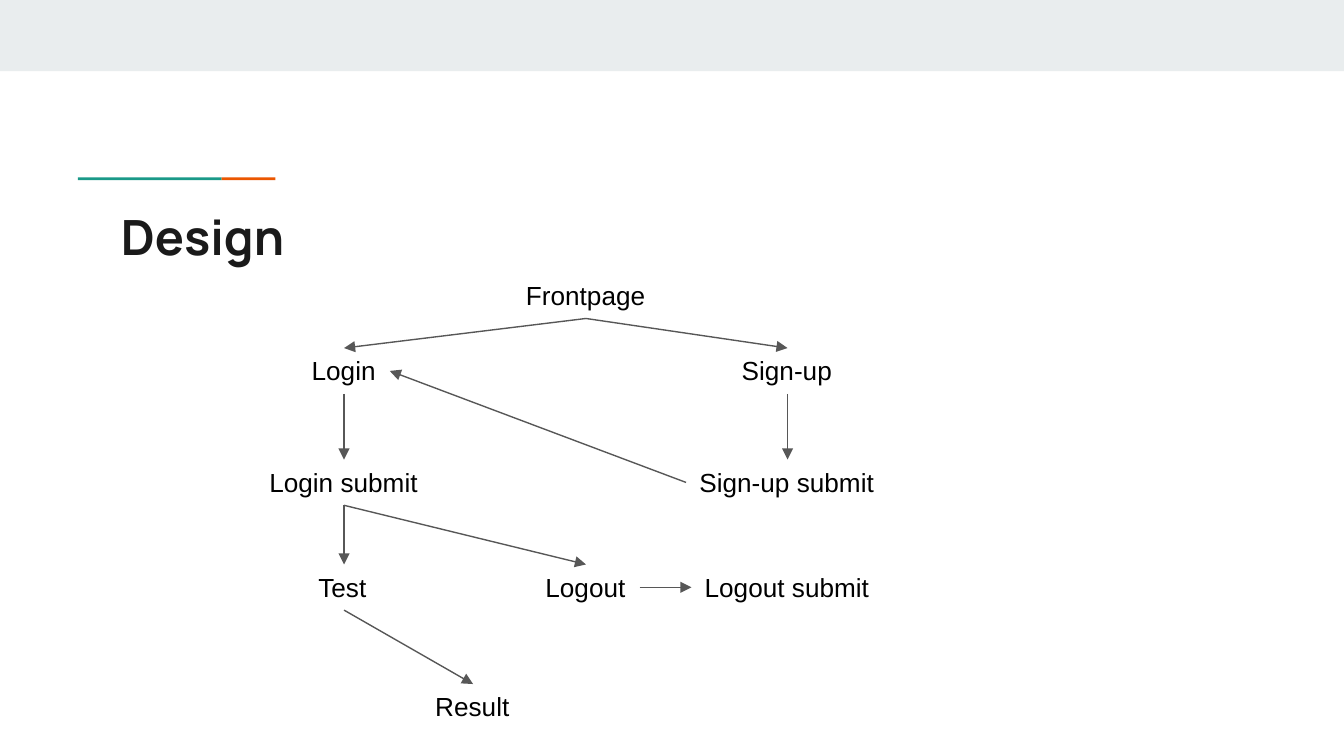
from lxml import etree
from pptx import Presentation
from pptx.dml.color import RGBColor
from pptx.enum.shapes import MSO_CONNECTOR, MSO_SHAPE
from pptx.enum.text import MSO_ANCHOR, MSO_AUTO_SIZE, PP_ALIGN
from pptx.oxml.ns import qn
from pptx.util import Inches, Pt

RECTANGLE = MSO_SHAPE.RECTANGLE
STRAIGHT = MSO_CONNECTOR.STRAIGHT
ANCHOR_TOP = MSO_ANCHOR.TOP
FIXED_SIZE = MSO_AUTO_SIZE.NONE
FIT_SHAPE = MSO_AUTO_SIZE.SHAPE_TO_FIT_TEXT
ALIGN_LEFT = PP_ALIGN.LEFT
BAND_GREY = RGBColor(0xE9, 0xED, 0xEE)
TEAL = RGBColor(0x1A, 0x99, 0x88)
ORANGE = RGBColor(0xEB, 0x56, 0x00)
TITLE_INK = RGBColor(0x1A, 0x1A, 0x1A)
BLACK = RGBColor(0, 0, 0)
ARROW_GREY = RGBColor(0x57, 0x57, 0x57)

# Widescreen slide, 16 to 9
presentation = Presentation()
presentation.slide_width = Inches(10)
presentation.slide_height = Inches(10) * 9 // 16
slide = presentation.slides.add_slide(presentation.slide_layouts[5])
shapes = slide.shapes

# Top band and two-colour accent rule
for left, top, width, height, color in (
    (0, 0, 10, 0.53, BAND_GREY),
    (0.58, 1.32, 1.07, 0.02, TEAL),
    (1.65, 1.32, 0.4, 0.02, ORANGE),
):
    bar = shapes.add_shape(
        RECTANGLE, Inches(left), Inches(top), Inches(width), Inches(height))
    bar.shadow.inherit = False
    bar.fill.solid()
    bar.fill.fore_color.rgb = color
    bar.line.fill.background()

# Title
title = shapes.title
title.left, title.top = Inches(0.8), Inches(1.44)
title.width, title.height = Inches(8.41), Inches(0.59)
frame = title.text_frame
frame.text = "Design"
frame.auto_size = FIXED_SIZE
frame.vertical_anchor = ANCHOR_TOP
frame.margin_left = frame.margin_right = Inches(0.1)
frame.margin_top = frame.margin_bottom = Inches(0.1)
paragraph = frame.paragraphs[0]
paragraph.alignment = ALIGN_LEFT
paragraph.font.name = "Manrope"
paragraph.font.size = Pt(26)
paragraph.font.bold = True
paragraph.font.color.rgb = TITLE_INK

# Page names, centred on three main columns
LOGIN_COLUMN, MIDDLE_COLUMN, SIGNUP_COLUMN = 2.56, 4.36, 5.86
ROWS = (2.03, 2.59, 3.42, 4.2, 5.09)
NODE_HEIGHT = 0.34
nodes = {}
for name, center, row, width in (
    ("Frontpage", MIDDLE_COLUMN, 0, 1.09),
    ("Login", LOGIN_COLUMN, 1, 0.68),
    ("Sign-up", SIGNUP_COLUMN, 1, 0.88),
    ("Login submit", LOGIN_COLUMN, 2, 1.31),
    ("Sign-up submit", SIGNUP_COLUMN, 2, 1.51),
    ("Test", LOGIN_COLUMN, 3, 0.58),
    ("Logout", MIDDLE_COLUMN, 3, 0.8),
    ("Logout submit", SIGNUP_COLUMN, 3, 1.43),
    ("Result", 3.52, 4, 0.76),
):
    node = shapes.add_textbox(
        Inches(center - width / 2), Inches(ROWS[row]),
        Inches(width), Inches(NODE_HEIGHT))
    frame = node.text_frame
    frame.text = name
    frame.word_wrap = False
    frame.auto_size = FIT_SHAPE
    paragraph = frame.paragraphs[0]
    paragraph.font.name = "Arial"
    paragraph.font.size = Pt(14)
    paragraph.font.color.rgb = BLACK
    nodes[name] = node

# Arrows, glued to the connection sites of the page names
TOP, LEFT, BOTTOM, RIGHT = range(4)
for source, source_site, target, target_site in (
    ("Frontpage", BOTTOM, "Login", TOP),
    ("Frontpage", BOTTOM, "Sign-up", TOP),
    ("Sign-up", BOTTOM, "Sign-up submit", TOP),
    ("Sign-up submit", LEFT, "Login", RIGHT),
    ("Login", BOTTOM, "Login submit", TOP),
    ("Login submit", BOTTOM, "Logout", TOP),
    ("Login submit", BOTTOM, "Test", TOP),
    ("Test", BOTTOM, "Result", TOP),
    ("Logout", RIGHT, "Logout submit", LEFT),
):
    arrow = shapes.add_connector(STRAIGHT, 0, 0, 0, 0)
    arrow.begin_connect(nodes[source], source_site)
    arrow.end_connect(nodes[target], target_site)
    arrow.line.color.rgb = ARROW_GREY
    arrow.line.width = Pt(0.75)
    line = arrow.line._get_or_add_ln()
    etree.SubElement(line, qn("a:tailEnd"), type="triangle")
    etree.SubElement(arrow._element.spPr, qn("a:effectLst"))

presentation.save("out.pptx")
